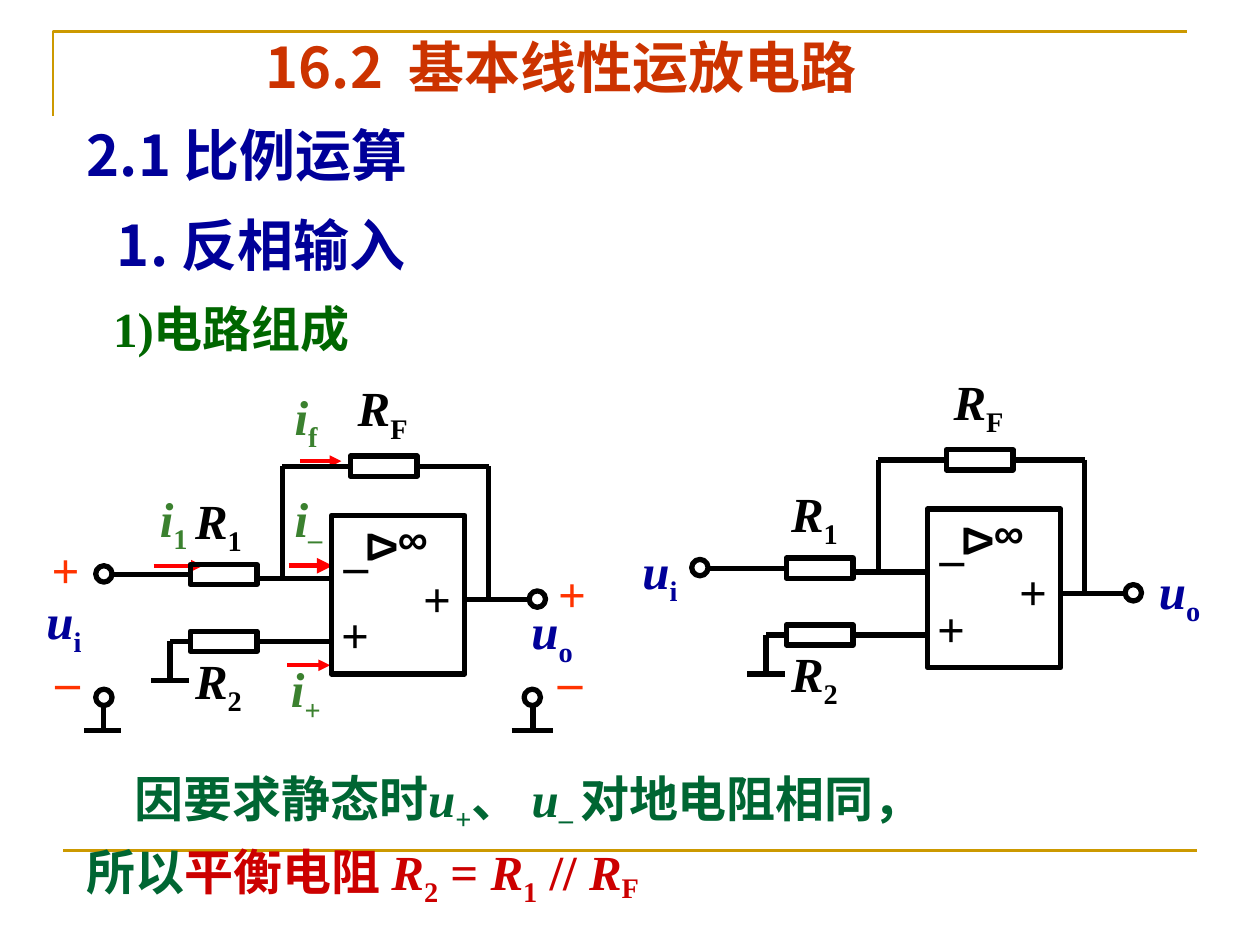
from dataclasses import dataclass

from pptx import Presentation
from pptx.dml.color import RGBColor
from pptx.enum.shapes import MSO_CONNECTOR, MSO_SHAPE
from pptx.enum.text import MSO_ANCHOR, MSO_AUTO_SIZE, PP_ALIGN
from pptx.oxml.ns import qn
from pptx.util import Inches, Pt
from lxml.etree import SubElement


@dataclass(frozen=True)
class Theme:
    """Colours, fonts and type sizes of the slide."""
    gold: str = "CC9900"
    title: str = "CC3300"
    heading: str = "000099"
    topic: str = "006600"
    current: str = "3B812F"
    arrow: str = "FF0000"
    polarity: str = "FF3300"
    note: str = "006633"
    result: str = "CC0000"
    ink: str = "000000"
    serif: str = "Times New Roman"
    sans: str = "Arial"
    chinese: str = "Noto Sans CJK SC"
    large: int = 32
    body: int = 28
    small: int = 24


THEME = Theme()


def add_span(para, text, color=THEME.ink, size=THEME.body, font=THEME.serif,
             italic=False, baseline=0):
    """Append one bold, formatted run to a paragraph."""
    span = para.add_run()
    span.text = text
    span.font.size = Pt(size)
    span.font.name = font
    span.font.bold = True
    span.font.italic = italic
    span.font.color.rgb = RGBColor.from_string(color)
    properties = span.font._element
    SubElement(properties, qn("a:ea")).set("typeface", THEME.chinese)
    if baseline:
        properties.set("baseline", str(baseline * 1000))


def prepare_frame(box):
    """Wrap text from the top of a box with fixed size and return its frame."""
    frame = box.text_frame
    frame.word_wrap = True
    frame.auto_size = MSO_AUTO_SIZE.NONE
    frame.vertical_anchor = MSO_ANCHOR.TOP
    return frame


def add_text(shapes, text, left, top, width, height=0.57, align=PP_ALIGN.LEFT,
             rotation=0, **style):
    """Add a one-line text box."""
    box = shapes.add_textbox(Inches(left), Inches(top), Inches(width), Inches(height))
    box.rotation = rotation
    para = prepare_frame(box).paragraphs[0]
    para.alignment = align
    add_span(para, text, **style)
    return para


def add_symbol(shapes, letter, subscript, left, top, width, color=THEME.ink,
               slanted=False):
    """Add an italic quantity with its subscript."""
    para = add_text(shapes, letter, left, top, width, 0.63, color=color, italic=True)
    add_span(para, subscript, color=color, italic=slanted, baseline=-25)


def add_line(shapes, start, end, color=THEME.ink, weight=3, arrow=False):
    """Add a straight line, with an arrowhead at its end if asked."""
    line = shapes.add_connector(MSO_CONNECTOR.STRAIGHT,
                                *(Inches(value) for value in (*start, *end)))
    line.line.color.rgb = RGBColor.from_string(color)
    line.line.width = Pt(weight)
    if arrow:
        SubElement(line.line._get_or_add_ln(), qn("a:tailEnd")).set("type", "triangle")
    SubElement(line._element.spPr, qn("a:effectLst"))


def add_outline(shapes, kind, left, top, width, height):
    """Add an unfilled black shape."""
    shape = shapes.add_shape(kind, Inches(left), Inches(top), Inches(width), Inches(height))
    shape.shadow.inherit = False
    shape.fill.background()
    shape.line.color.rgb = RGBColor.from_string(THEME.ink)
    shape.line.width = Pt(3)


def add_terminal(shapes, left, top):
    """Add a round circuit terminal."""
    add_outline(shapes, MSO_SHAPE.OVAL, left, top, 0.13, 0.13)


def add_frame(page):
    """Draw the gold corner and the gold bottom rule."""
    builder = page.shapes.build_freeform(Inches(0.42), Inches(0.92))
    builder.add_line_segments([(Inches(0.42), Inches(0.25)),
                               (Inches(9.42), Inches(0.25))], close=False)
    corner = builder.convert_to_shape()
    corner.shadow.inherit = False
    corner.fill.background()
    corner.line.color.rgb = RGBColor.from_string(THEME.gold)
    corner.line.width = Pt(1.5)
    add_line(page.shapes, (0.5, 6.75), (9.5, 6.75), THEME.gold, 1.5)


def add_title(page, text):
    """Place and format the title placeholder."""
    title = page.shapes.title
    title.left, title.top = Inches(2.01), Inches(0.21)
    title.width, title.height = Inches(6.25), Inches(0.64)
    para = prepare_frame(title).paragraphs[0]
    para.alignment = PP_ALIGN.LEFT
    add_span(para, text, THEME.title, THEME.large, THEME.chinese)


def add_currents(shapes):
    """Label the four currents and draw their arrows."""
    for subscript, left, top in (("f", 2.24, 3.02), ("1", 1.17, 3.83),
                                 ("–", 2.24, 3.83), ("+", 2.21, 5.18)):
        add_symbol(shapes, "i", subscript, left, top, 0.46, THEME.current,
                   slanted=subscript == "+")
    for start, end, y, weight in ((2.38, 2.71, 3.66, 2.25), (1.22, 1.61, 4.49, 2.25),
                                  (2.29, 2.64, 4.49, 3), (2.28, 2.62, 5.28, 2.25)):
        add_line(shapes, (start, y), (end, y), THEME.arrow, weight, arrow=True)


def add_amplifier(shapes, x=0, y=0):
    """Draw the inverting amplifier, shifted by x and y."""
    for left, top in ((2.78, 3.62), (1.51, 5.01), (1.51, 4.48)):
        add_outline(shapes, MSO_SHAPE.RECTANGLE, x + left, y + top, 0.53, 0.16)
    add_outline(shapes, MSO_SHAPE.RECTANGLE, x + 2.63, y + 4.09, 1.06, 1.26)
    wires = (
        ((3.88, 3.7), (3.88, 4.77)), ((2.24, 3.7), (2.24, 4.61)),
        ((3.33, 3.7), (3.88, 3.7)), ((2.24, 3.7), (2.78, 3.7)),
        ((1.51, 4.56), (0.89, 4.56)), ((2.04, 4.59), (2.63, 4.59)),
        ((1.51, 5.09), (1.35, 5.09)), ((2.04, 5.09), (2.63, 5.09)),
        ((1.35, 5.09), (1.35, 5.4)), ((1.2, 5.4), (1.5, 5.4)),
        ((3.69, 4.76), (4.21, 4.76)),
    )
    for start, end in wires:
        add_line(shapes, (x + start[0], y + start[1]), (x + end[0], y + end[1]))
    for subscript, left, top, width in (("F", 2.74, 2.95, 1.16), ("1", 1.45, 3.84, 0.72),
                                        ("2", 1.45, 5.11, 0.72)):
        add_symbol(shapes, "R", subscript, x + left, y + top, width)
    for sign, left, top, width in (("+", 2.61, 4.75, 0.46), ("+", 3.26, 4.46, 0.82),
                                   ("–", 2.63, 4.19, 0.67)):
        add_text(shapes, sign, x + left, y + top, width)
    add_text(shapes, "∞", x + 3.06, y + 4.02, 1.08, 0.5, size=THEME.small, font=THEME.sans)
    add_text(shapes, "Δ", x + 2.85, y + 4.08, 0.4, 0.5, PP_ALIGN.CENTER, 90,
             size=THEME.small, font=THEME.sans)
    add_terminal(shapes, x + 0.76, y + 4.49)
    add_terminal(shapes, x + 4.2, y + 4.69)


def add_grounds(shapes):
    """Add the grounded terminals and polarity signs of the left circuit."""
    for left, stem, start, end in ((0.76, 0.82, 0.67, 0.96), (4.16, 4.23, 4.06, 4.39)):
        add_terminal(shapes, left, 5.47)
        add_line(shapes, (stem, 5.58), (stem, 5.8))
        add_line(shapes, (start, 5.8), (end, 5.8))
    for sign, left, top, width in (("+", 0.31, 4.23, 0.42), ("+", 4.33, 4.42, 0.42),
                                   ("–", 0.34, 5.11, 0.39), ("–", 4.2, 5.11, 0.65)):
        add_text(shapes, sign, left, top, width, align=PP_ALIGN.CENTER, color=THEME.polarity)


def add_conclusion(page):
    """Write the two lines on the balancing resistor."""
    italic, lowered = {"italic": True}, {"baseline": -25}
    reason = (("因要求静态时", {}), ("u", italic), ("+", lowered), ("、 ", {}),
              ("u", italic), ("– ", lowered), ("对地电阻相同，", {}))
    formula = (("平衡电阻 ", {}), ("R", italic), ("2", lowered), (" = ", {}),
               ("R", italic), ("1", lowered), (" // ", {}), ("R", italic),
               ("F", {"baseline": -16}))
    box = page.shapes.add_textbox(Inches(0.59), Inches(6.05), Inches(8.98), Inches(1.21))
    frame = prepare_frame(box)
    first, second = frame.paragraphs[0], frame.add_paragraph()
    first._p.get_or_add_pPr().set("indent", str(Inches(0.38)))
    second.space_before = Pt(3.5)
    add_span(second, "所以", THEME.note)
    for para, spans, color in ((first, reason, THEME.note), (second, formula, THEME.result)):
        for text, style in spans:
            add_span(para, text, color, **style)


def main():
    """Build the slide and save the deck."""
    deck = Presentation()
    deck.slide_width, deck.slide_height = Inches(10), Inches(7.5)
    page = deck.slides.add_slide(deck.slide_layouts[5])
    add_frame(page)
    add_title(page, "16.2  基本线性运放电路")
    for text, left, top in (("2.1 比例运算", 0.59, 0.91), ("1. 反相输入", 0.83, 1.62)):
        add_text(page.shapes, text, left, top, 6.09, 0.75, color=THEME.heading,
                 size=THEME.large, font=THEME.chinese)
    add_text(page.shapes, "1)电路组成", 0.8, 2.32, 3.42, color=THEME.topic)
    add_currents(page.shapes.add_group_shape().shapes)
    left_circuit = page.shapes.add_group_shape().shapes
    add_amplifier(left_circuit)
    add_grounds(left_circuit)
    right_circuit = page.shapes.add_group_shape().shapes
    add_amplifier(right_circuit, 4.73, -0.05)
    for circuit, subscript, left, top, width in (
            (left_circuit, "i", 0.27, 4.64, 0.63), (left_circuit, "o", 4.12, 4.72, 1.16),
            (right_circuit, "i", 5, 4.24, 0.63), (right_circuit, "o", 9.1, 4.4, 0.64)):
        add_symbol(circuit, "u", subscript, left, top, width, THEME.heading)
    add_conclusion(page)
    deck.save("out.pptx")


if __name__ == "__main__":
    main()
